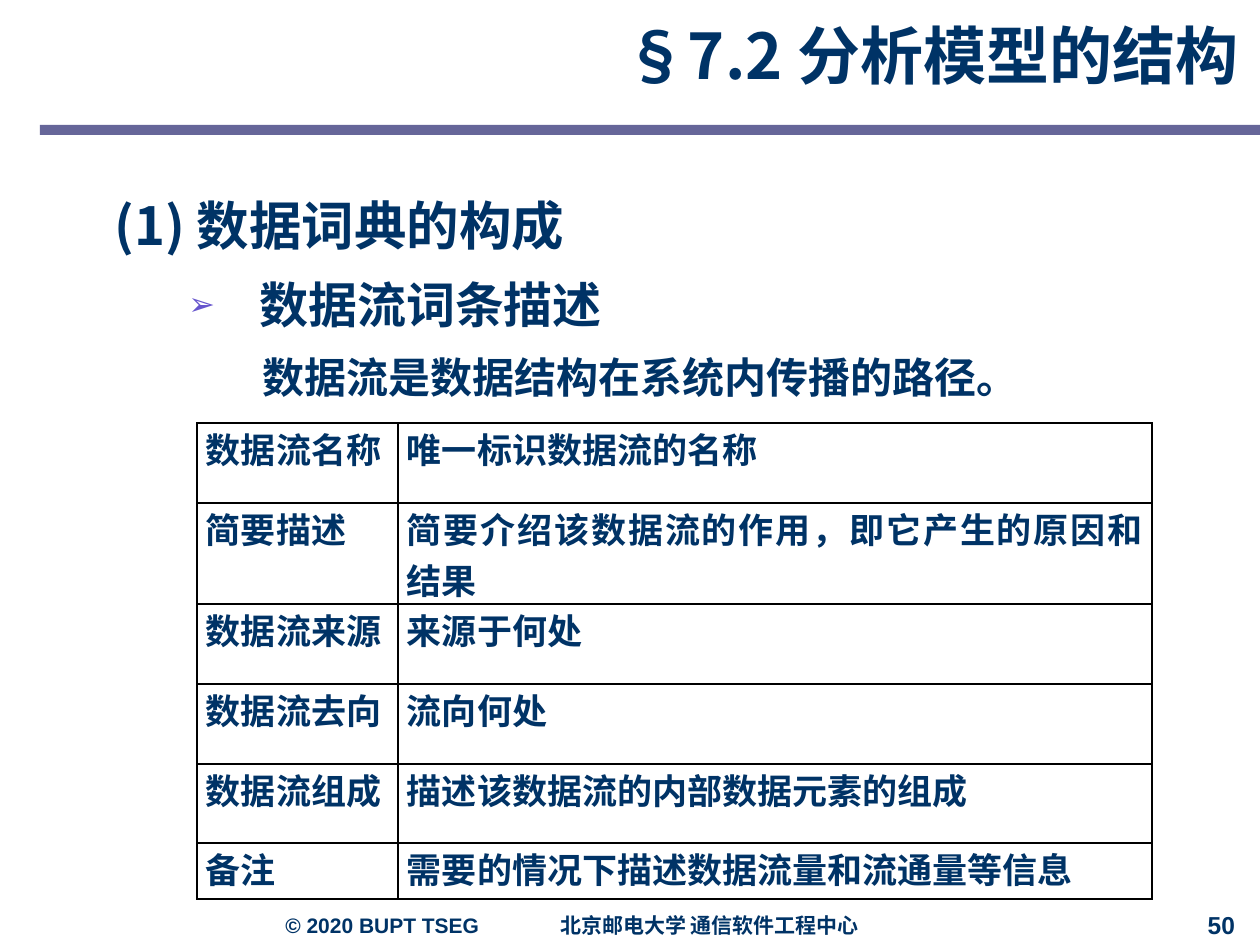
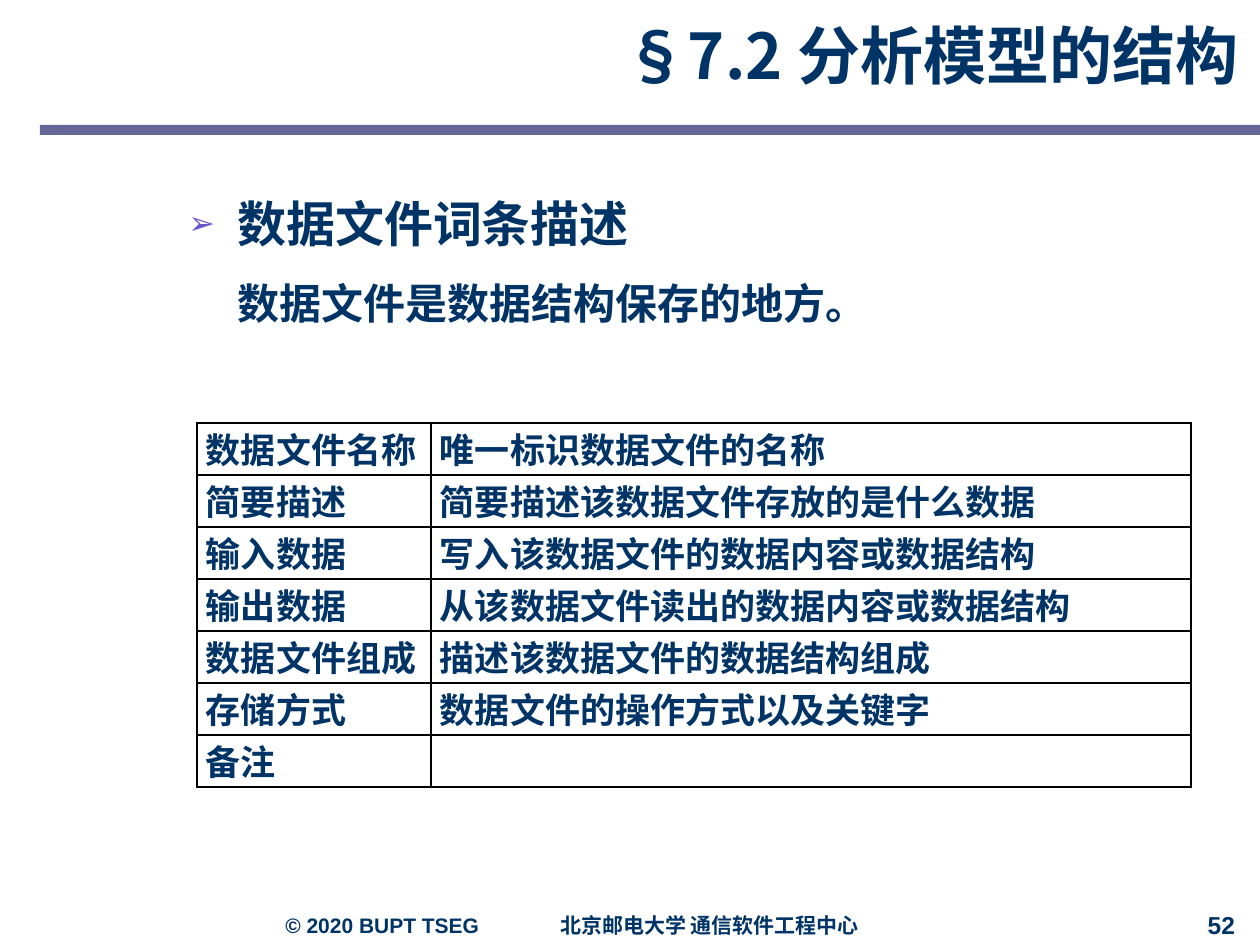
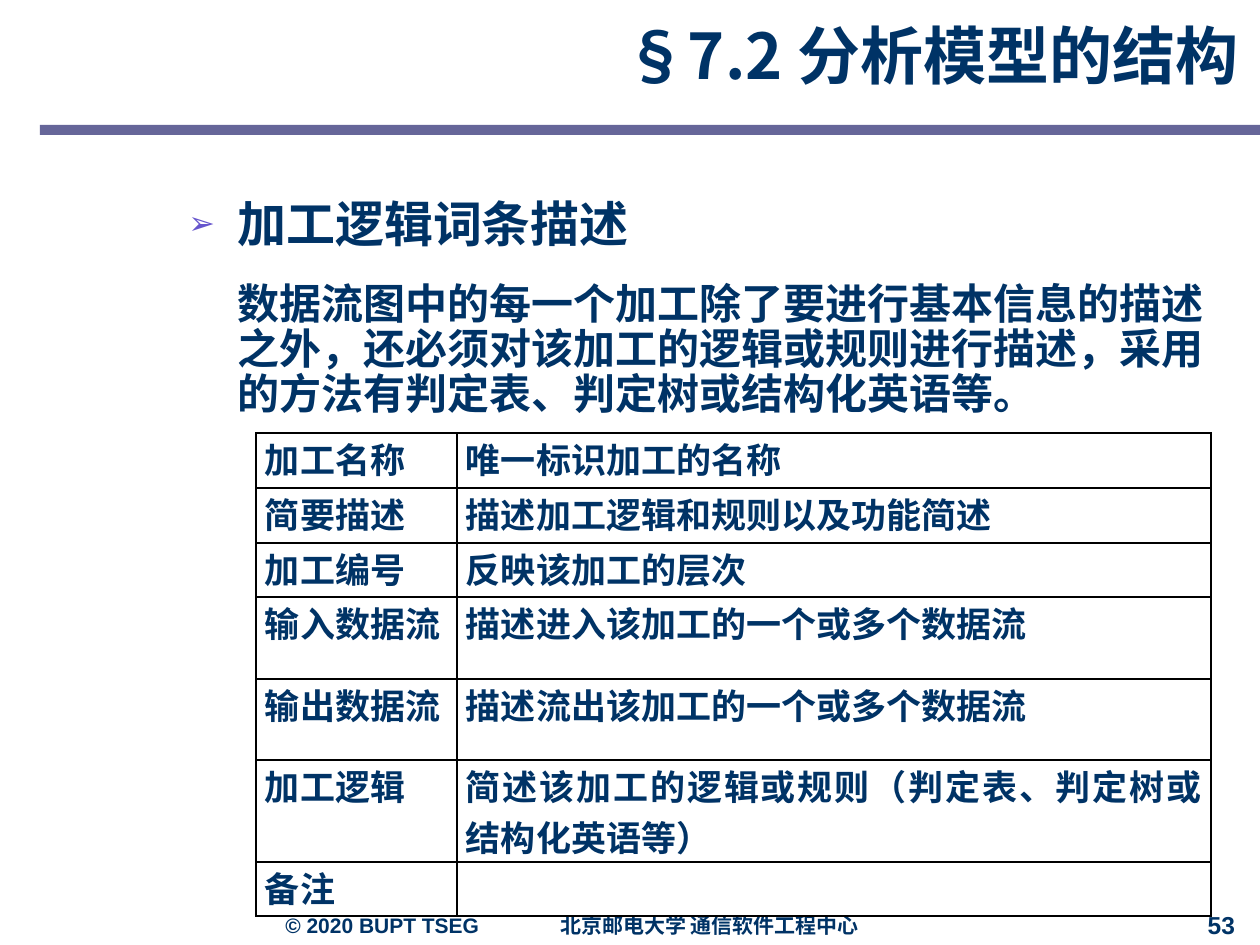
from lxml import etree
from pptx import Presentation
from pptx import util as u
from pptx.dml.color import RGBColor
from pptx.enum import shapes, text
from pptx.oxml.ns import qn

SCALE = 914400 / 126
NAVY, BAND, BULLET, RULE = "003366", "666699", "6655CD", "000000"
CJK, LATIN = "Noto Sans CJK SC", "Arial"
TITLE = "§7.2 分析模型的结构"
COPYRIGHT, CENTRE = "© 2020 BUPT TSEG", "北京邮电大学 通信软件工程中心"

TITLE_BOX = (355, 0, 898, 125)
BAND_BOX = (40, 125, 1220, 10)
BODY_BOX = (89, 194, 1149, 669)
FOOTER_BOX = (273, 905, 615, 40)
NUMBER_BOX = (809, 908, 451, 38)

# Paragraph styles: size in pt, left margin and first-line indent in px
HEADING = dict(size=30, left=75, indent=-62)
FLOW_TERM = dict(size=28, left=158, indent=-71, before=14, bullet="➢")
FLOW_NOTE = dict(size=24, left=161, indent=0, before=13)
TERM = dict(size=28, left=136, indent=-49, bullet="➢")
NOTE = dict(size=24, left=136, indent=0, before=17)

SLIDES = [
    dict(
        number="50",
        body=[("(1) 数据词典的构成", HEADING),
              ("数据流词条描述", FLOW_TERM),
              ("数据流是数据结构在系统内传播的路径。", FLOW_NOTE)],
        origin=(197, 423), columns=(201, 754),
        entries=[("数据流名称", "唯一标识数据流的名称", 80),
                 ("简要描述", "简要介绍该数据流的作用，即它产生的原因和结果", 101),
                 ("数据流来源", "来源于何处", 80),
                 ("数据流去向", "流向何处", 80),
                 ("数据流组成", "描述该数据流的内部数据元素的组成", 79),
                 ("备注", "需要的情况下描述数据流量和流通量等信息", 56)]),
    dict(
        number="52",
        body=[("数据文件词条描述", TERM),
              ("数据文件是数据结构保存的地方。", NOTE)],
        origin=(197, 423), columns=(234, 760),
        entries=[("数据文件名称", "唯一标识数据文件的名称", 52),
                 ("简要描述", "简要描述该数据文件存放的是什么数据", 52),
                 ("输入数据", "写入该数据文件的数据内容或数据结构", 52),
                 ("输出数据", "从该数据文件读出的数据内容或数据结构", 52),
                 ("数据文件组成", "描述该数据文件的数据结构组成", 52),
                 ("存储方式", "数据文件的操作方式以及关键字", 52),
                 ("备注", "", 52)]),
    dict(
        number="53",
        body=[("加工逻辑词条描述", TERM),
              ("数据流图中的每一个加工除了要进行基本信息的描述之外，还必须对该加工的逻辑或"
               "规则进行描述，采用的方法有判定表、判定树或结构化英语等。", NOTE)],
        origin=(256, 433), columns=(201, 754),
        entries=[("加工名称", "唯一标识加工的名称", 55),
                 ("简要描述", "描述加工逻辑和规则以及功能简述", 55),
                 ("加工编号", "反映该加工的层次", 54),
                 ("输入数据流", "描述进入该加工的一个或多个数据流", 82),
                 ("输出数据流", "描述流出该加工的一个或多个数据流", 81),
                 ("加工逻辑", "简述该加工的逻辑或规则（判定表、判定树或结构化英语等）", 102),
                 ("备注", "", 54)]),
]


def px(length):
    return u.Emu(round(length * SCALE))


def colour(hex_code):
    return RGBColor.from_string(hex_code)


def apply(target, **values):
    for attribute, value in values.items():
        setattr(target, attribute, value)


def sub(parent, tag, **attributes):
    return etree.SubElement(parent, qn(tag), {k: str(v) for k, v in attributes.items()})


def write(paragraph, words, size, font=CJK, **layout):
    apply(paragraph, **layout)
    run = paragraph.add_run()
    run.text = words
    apply(run.font, name=font, size=u.Pt(size), bold=True)
    run.font.color.rgb = colour(NAVY)
    sub(run._r.get_or_add_rPr(), "a:ea", typeface=CJK)


def text_frame(slide, box, **format_values):
    frame = slide.shapes.add_textbox(*map(px, box)).text_frame
    apply(frame, word_wrap=True, **format_values)
    return frame


def add_header(slide):
    frame = text_frame(slide, TITLE_BOX, vertical_anchor=text.MSO_ANCHOR.MIDDLE,
                       margin_left=px(25), margin_right=px(15),
                       margin_top=px(5), margin_bottom=px(5))
    write(frame.paragraphs[0], TITLE, 36,
          alignment=text.PP_ALIGN.RIGHT, line_spacing=0.75)
    band = slide.shapes.add_shape(shapes.MSO_SHAPE.RECTANGLE, *map(px, BAND_BOX))
    band.shadow.inherit = False
    band.fill.solid()
    band.fill.fore_color.rgb = colour(BAND)
    band.line.fill.background()


def add_footer(slide, number):
    credit = text_frame(slide, FOOTER_BOX, vertical_anchor=text.MSO_ANCHOR.MIDDLE)
    line = credit.paragraphs[0]
    stops = sub(line._p.get_or_add_pPr(), "a:tabLst")
    sub(stops, "a:tab", pos=px(275), algn="l")
    write(line, f"{COPYRIGHT}\t{CENTRE}", 12, LATIN)
    page = text_frame(slide, NUMBER_BOX, vertical_anchor=text.MSO_ANCHOR.MIDDLE,
                      margin_left=px(25), margin_right=px(25))
    write(page.paragraphs[0], number, 14, LATIN,
          alignment=text.PP_ALIGN.RIGHT, line_spacing=0.85)


def add_body(slide, lines):
    frame = text_frame(slide, BODY_BOX)
    for index, (words, style) in enumerate(lines):
        paragraph = frame.add_paragraph() if index else frame.paragraphs[0]
        properties = paragraph._p.get_or_add_pPr()
        properties.set("marL", str(px(style["left"])))
        properties.set("indent", str(px(style["indent"])))
        if "bullet" in style:
            sub(sub(properties, "a:buClr"), "a:srgbClr", val=BULLET)
            sub(properties, "a:buSzPct", val=65000)
            sub(properties, "a:buFont", typeface=LATIN)
            sub(properties, "a:buChar", char=style["bullet"])
        else:
            sub(properties, "a:buNone")
        write(paragraph, words, style["size"], line_spacing=0.9,
              space_before=u.Pt(style.get("before", 0)))


def outline_cell(cell):
    properties = cell._tc.get_or_add_tcPr()
    for position, side in enumerate(("a:lnL", "a:lnR", "a:lnT", "a:lnB")):
        border = etree.Element(qn(side), w=str(u.Pt(1)))
        sub(sub(border, "a:solidFill"), "a:srgbClr", val=RULE)
        properties.insert(position, border)


def add_dictionary_table(slide, origin, columns, entries):
    heights = [height for *_, height in entries]
    box = (*origin, sum(columns), sum(heights))
    table = slide.shapes.add_table(len(entries), len(columns), *map(px, box)).table
    apply(table, first_row=False, horz_banding=False)
    for column, width in zip(table.columns, columns):
        column.width = px(width)
    for row, (term, meaning, height) in zip(table.rows, entries):
        row.height = px(height)
        for cell, words in zip(row.cells, (term, meaning)):
            apply(cell, margin_left=px(9), margin_right=px(9), margin_top=0, margin_bottom=0)
            cell.fill.background()
            outline_cell(cell)
            if words:
                write(cell.text_frame.paragraphs[0], words, 20,
                      alignment=text.PP_ALIGN.JUSTIFY)


def main():
    deck = Presentation()
    apply(deck, slide_width=px(1260), slide_height=px(945))
    for content in SLIDES:
        slide = deck.slides.add_slide(deck.slide_layouts[6])
        add_header(slide)
        add_body(slide, content["body"])
        add_footer(slide, content["number"])
        add_dictionary_table(slide, content["origin"], content["columns"], content["entries"])
    deck.save("out.pptx")


if __name__ == "__main__":
    main()
